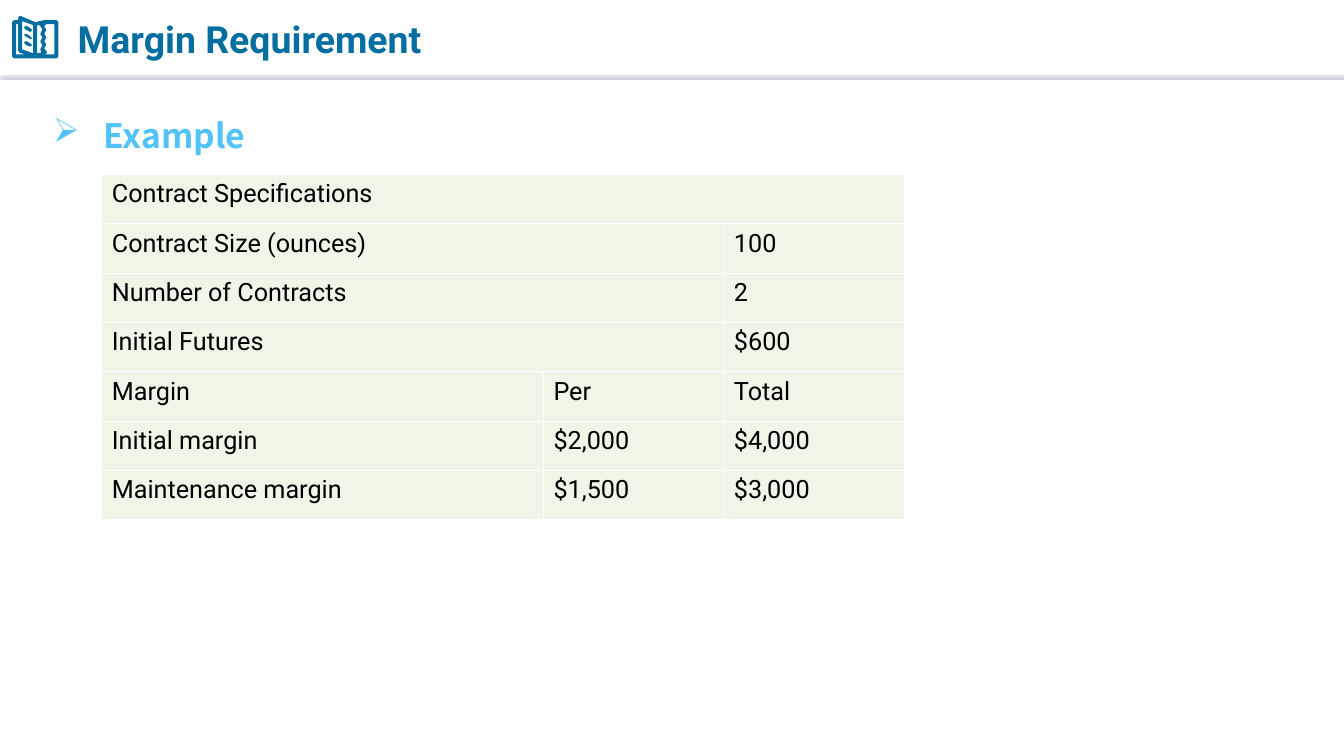
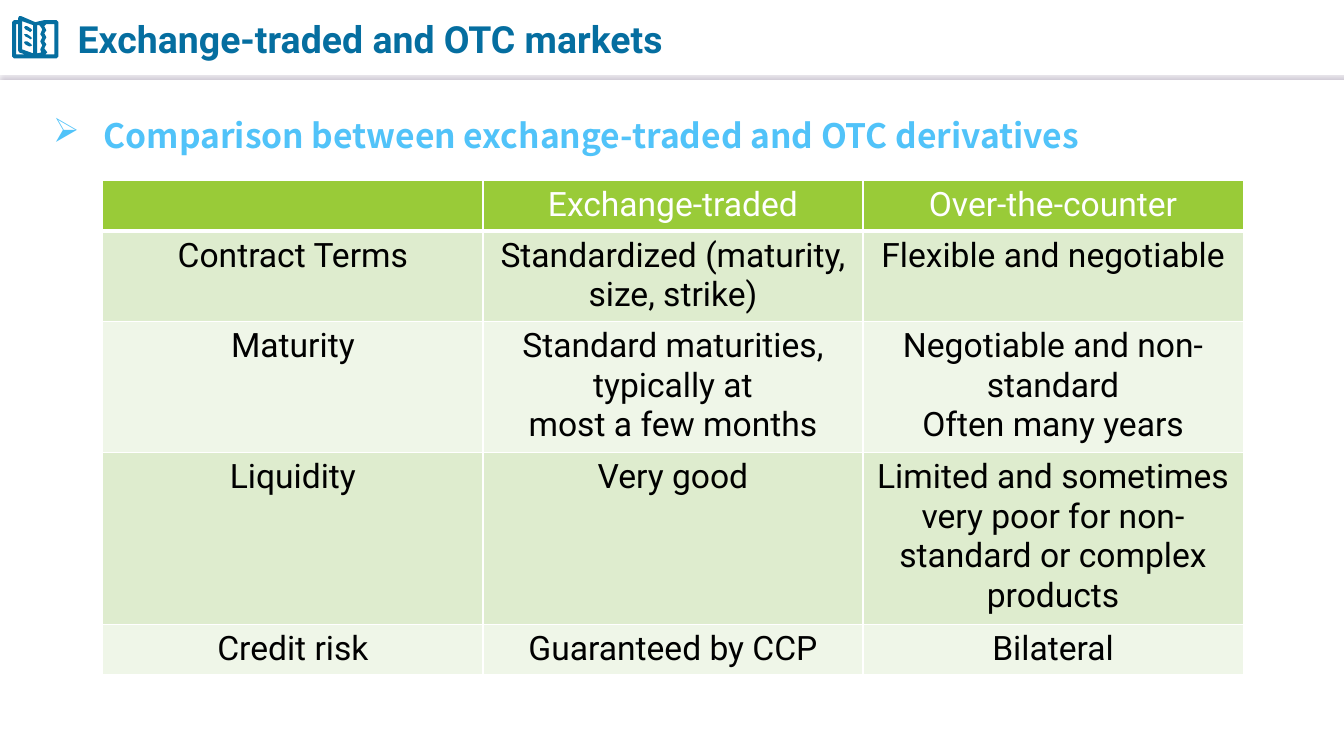
from lxml.etree import SubElement as Sub
from pptx import Presentation
from pptx.dml.color import RGBColor as RGB
from pptx.enum.shapes import MSO_CONNECTOR as Conn
from pptx.enum.text import MSO_ANCHOR as Anchor, MSO_AUTO_SIZE as Auto, PP_ALIGN as Align
from pptx.oxml.ns import qn
from pptx.util import Inches, Pt


class Theme:
    blue, sky, shade = "056EA0", "51C3F9", "BCB4C4"
    green, mid, pale = "99CB38", "DEECCE", "EFF6E8"
    white, black = "FFFFFF", "000000"
    sans, head = "Roboto", "Noto Sans CJK SC"
    title, lead, small = 26.7, 24, 18


# Book icon outlines, in hundredths of an inch on the slide
dash = [(25, 41), (27, 41), (30, 43), (31.5, 45), (30.5, 46.5), (29, 46), (25, 44), (24, 42)]
book = [
    [(21, 16), (35, 22), (44, 20), (56, 20), (58, 22), (58, 56), (56, 58), (14, 58),
     (12, 56), (12, 22), (14, 20), (18, 20), (18, 18), (19, 16.5)],
    [(16, 24), (16, 54), (25, 54), (19, 52), (18, 50), (18, 24)],
    [(22, 21), (22, 49), (33, 53), (33, 25)],
    [(39, 25), (37, 25), (37, 53), (41, 52), (39.5, 49), (42, 45), (39.5, 41), (42, 37),
     (39.5, 33.5), (42, 29), (39.5, 26.5)],
    [(46, 24), (44, 26), (46.5, 29.5), (44, 33), (46.5, 37), (44, 41), (46.5, 44.5),
     (44, 48), (47, 52), (45, 54), (54, 54), (54, 24)],
] + [[(x, y - rise) for x, y in dash] for rise in (0, 7.5, 15)]

# Slide content; None continues the cell on its left
deck = [
    dict(title="Margin Requirement", lead="Example",
         at=(1.01, 1.73), cols=[4.38, 1.79, 1.79], rows=[0.49] * 7,
         size=Theme.small, align=Align.LEFT, fills=[Theme.pale] * 7, header=False,
         cells=[["Contract Specifications", None, None],
                ["Contract Size (ounces)", None, "100"],
                ["Number of Contracts", None, "2"],
                ["Initial Futures", None, "$600"],
                ["Margin", "Per", "Total"],
                ["Initial margin", "$2,000", "$4,000"],
                ["Maintenance margin", "$1,500", "$3,000"]]),
    dict(title="Exchange-traded and OTC markets",
         lead="Comparison between exchange-traded and OTC derivatives",
         at=(1.02, 1.79), cols=[3.77] * 3,
         rows=[0.1 + 0.39 * lines for lines in (1, 2, 3, 4, 1)],
         size=Theme.lead, align=Align.CENTER,
         fills=[Theme.green] + [Theme.mid, Theme.pale] * 2, header=True,
         cells=[["", "Exchange-traded", "Over-the-counter"],
                ["Contract Terms", "Standardized (maturity, size, strike)",
                 "Flexible and negotiable"],
                ["Maturity", "Standard maturities, typically at\nmost a few months",
                 "Negotiable and non-standard\nOften many years"],
                ["Liquidity", "Very good",
                 "Limited and sometimes very poor for non-standard or complex products"],
                ["Credit risk", "Guaranteed by CCP", "Bilateral"]]),
]


def style(frame, size, color, name=Theme.sans, bold=False, align=Align.LEFT):
    for par in frame.paragraphs:
        par.alignment = align
        for run in par.runs:
            font = run.font
            font.size, font.name, font.bold = Pt(size), name, bold
            font.color.rgb = RGB.from_string(color)


def border(cell, side, width):
    line = Sub(cell._tc.get_or_add_tcPr(), qn("a:ln" + side), w=str(Pt(width)))
    Sub(Sub(line, qn("a:solidFill")), qn("a:srgbClr"), val=Theme.white)


prs = Presentation()
prs.slide_width, prs.slide_height = Inches(13.33), Inches(7.5)

for page in deck:
    slide = prs.slides.add_slide(prs.slide_layouts[5])
    shapes = slide.shapes

    # Header rule with its shadow
    rule = shapes.add_connector(Conn.STRAIGHT, 0, Inches(0.73), prs.slide_width, Inches(0.73))
    rule.line.width = Pt(0.75)
    rule.line.color.rgb = RGB.from_string(Theme.white)
    glow = Sub(Sub(rule._element.spPr, qn("a:effectLst")), qn("a:outerShdw"),
               blurRad=str(Pt(1)), dist=str(Pt(3)), dir="5400000", algn="t", rotWithShape="0")
    Sub(glow, qn("a:srgbClr"), val=Theme.shade)

    # Book icon
    pen = shapes.build_freeform(*book[0][0], scale=Inches(0.01))
    pen.add_line_segments(book[0][1:])
    for ring in book[1:]:
        pen.move_to(*ring[0])
        pen.add_line_segments(ring[1:])
    icon = pen.convert_to_shape()
    icon.shadow.inherit = False
    icon.fill.solid()
    icon.fill.fore_color.rgb = RGB.from_string(Theme.blue)
    icon.line.fill.background()

    # Title
    title = shapes.title
    title.left, title.top = Inches(0.67), Inches(0.07)
    title.width, title.height = Inches(7.36), Inches(0.63)
    frame = title.text_frame
    frame.text = page["title"]
    frame.auto_size, frame.vertical_anchor = Auto.NONE, Anchor.MIDDLE
    style(frame, Theme.title, Theme.blue, bold=True)

    # Lead line with arrow bullet
    box = shapes.add_textbox(Inches(0.43), Inches(0.89), Inches(12.47), Inches(0.75))
    frame = box.text_frame
    frame.word_wrap = True
    frame.text = page["lead"]
    par = frame.paragraphs[0]
    par.line_spacing = 1.5
    props = par._p.get_or_add_pPr()
    props.set("marL", str(Inches(0.5)))
    props.set("indent", str(-Inches(0.5)))
    Sub(props, qn("a:buChar"), char="➢")
    style(frame, Theme.lead, Theme.sky, Theme.head, bold=True)

    # Table
    cols, rows = page["cols"], page["rows"]
    left, top = page["at"]
    table = shapes.add_table(len(rows), len(cols), Inches(left), Inches(top),
                             Inches(sum(cols)), Inches(sum(rows))).table
    table.first_row = table.horz_banding = False
    for col, width in zip(table.columns, cols):
        col.width = Inches(width)
    for r, texts in enumerate(page["cells"]):
        table.rows[r].height = Inches(rows[r])
        top_row = page["header"] and r == 0
        for c, text in enumerate(texts):
            cell = table.cell(r, c)
            for side in "LRTB":
                thick = page["header"] and (r, side) in ((0, "B"), (1, "T"))
                border(cell, side, 3 if thick else 1)
            cell.fill.solid()
            cell.fill.fore_color.rgb = RGB.from_string(page["fills"][r])
            if text is not None:
                cell.text_frame.text = text
                style(cell.text_frame, page["size"], Theme.white if top_row else Theme.black,
                      align=page["align"])
                end = c + 1
                while end < len(texts) and texts[end] is None:
                    end += 1
                if end > c + 1:
                    cell.merge(table.cell(r, end - 1))

prs.save("out.pptx")
